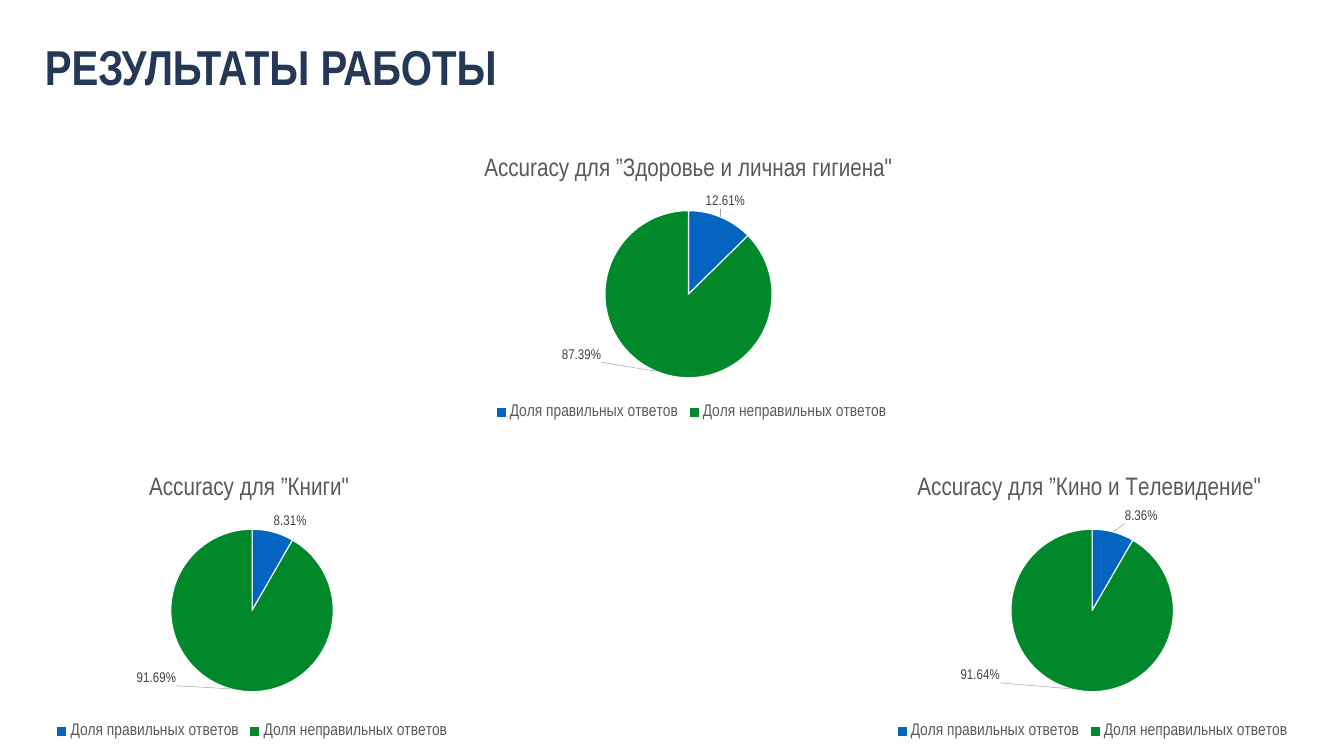
from dataclasses import dataclass

from lxml import etree
from pptx import Presentation
from pptx.chart.data import CategoryChartData
from pptx.dml.color import RGBColor
from pptx.enum.chart import XL_CHART_TYPE, XL_LABEL_POSITION, XL_LEGEND_POSITION
from pptx.enum.text import MSO_ANCHOR, PP_ALIGN
from pptx.oxml import parse_xml
from pptx.oxml.ns import nsdecls, qn
from pptx.util import Pt

PIE = XL_CHART_TYPE.PIE
OUTSIDE_END = XL_LABEL_POSITION.OUTSIDE_END
LEGEND_BOTTOM = XL_LEGEND_POSITION.BOTTOM
TOP = MSO_ANCHOR.TOP
LEFT = PP_ALIGN.LEFT

FONT = "Arial Narrow"
NAVY = RGBColor(0x25, 0x39, 0x57)
GRAY = RGBColor(0x59, 0x59, 0x59)
DARK_GRAY = RGBColor(0x40, 0x40, 0x40)
WHITE = RGBColor(0xFF, 0xFF, 0xFF)
BLUE = RGBColor(0x03, 0x65, 0xC0)
GREEN = RGBColor(0x00, 0x88, 0x2B)

ANSWER_SHARES = ("Доля правильных ответов", "Доля неправильных ответов")
SLICE_COLORS = (BLUE, GREEN)
CHART_HEIGHT = 402.5
LOWER_TOP = 658.8
LOWER_WIDTH = 773.3


@dataclass(frozen=True)
class AccuracyPie:
    topic: str
    correct: float
    left: float
    top: float
    width: float
    plot: tuple[float, float, float, float]
    label_shifts: tuple[tuple[float, float], tuple[float, float]]


UPPER_PLOT = (0.34, 0.24, 0.31, 0.6)
LOWER_PLOT = (0.35, 0.24, 0.3, 0.58)
PIES = (
    AccuracyPie("Здоровье и личная гигиена", 0.1261, 602.6, 203, 769.7,
                UPPER_PLOT, ((-0.03, -0.02), (-0.1, -0.09))),
    AccuracyPie("Книги", 0.0831, -26.6, LOWER_TOP, LOWER_WIDTH,
                LOWER_PLOT, ((0, 0), (-0.1, -0.07))),
    AccuracyPie("Кино и Телевидение", 0.0836, 1173.6, LOWER_TOP, LOWER_WIDTH,
                LOWER_PLOT, ((0.02, -0.02), (-0.13, -0.08))),
)


def style_font(font, size: float, color: RGBColor, bold: bool = False) -> None:
    font.name = FONT
    font.size = Pt(size)
    font.bold = bold
    font.color.rgb = color


def manual_layout(**values):
    """Build a c:layout element from child names and their values."""
    layout = parse_xml(f"<c:layout {nsdecls('c')}><c:manualLayout/></c:layout>")
    for name, value in values.items():
        etree.SubElement(layout[0], qn(f"c:{name}")).set("val", str(value))
    return layout


def place_plot(chart, plot: tuple[float, float, float, float]) -> None:
    plot_area = chart._chartSpace.chart.plotArea
    for old_layout in plot_area.findall(qn("c:layout")):
        plot_area.remove(old_layout)
    x, y, w, h = plot
    plot_area.insert(0, manual_layout(layoutTarget="inner", xMode="edge",
                                      yMode="edge", x=x, y=y, w=w, h=h))


def style_slices(series, label_shifts) -> None:
    labels = series.data_labels
    labels.show_value = True
    labels.number_format = "0.00%"
    labels.number_format_is_linked = False
    style_font(labels.font, 20, DARK_GRAY)
    labels._element.append(parse_xml(
        f"<c:leaderLines {nsdecls('c', 'a')}><c:spPr><a:ln w='9525'><a:solidFill>"
        "<a:srgbClr val='A6A6A6'/></a:solidFill></a:ln></c:spPr></c:leaderLines>"))

    for index, (color, (x, y)) in enumerate(zip(SLICE_COLORS, label_shifts)):
        point = series.points[index]
        point.format.fill.solid()
        point.format.fill.fore_color.rgb = color
        point.format.line.color.rgb = WHITE
        point.format.line.width = Pt(1.5)
        label = point.data_label
        style_font(label.font, 20, DARK_GRAY)
        label.position = OUTSIDE_END
        if x or y:
            label_xml = labels._element.findall(qn("c:dLbl"))[index]
            label_xml.insert(1, manual_layout(x=x, y=y))


def add_pie(slide, pie: AccuracyPie) -> None:
    heading = f'Accuracy для ”{pie.topic}" '
    data = CategoryChartData(number_format="0.00%")
    data.categories = ANSWER_SHARES
    data.add_series(heading, (pie.correct, round(1 - pie.correct, 4)))
    chart = slide.shapes.add_chart(PIE, Pt(pie.left), Pt(pie.top), Pt(pie.width),
                                   Pt(CHART_HEIGHT), data).chart
    style_font(chart.font, 10, DARK_GRAY)

    chart.has_title = True
    chart.chart_title.include_in_layout = False
    title = chart.chart_title.text_frame
    title.text = heading
    style_font(title.paragraphs[0].font, 36, GRAY)

    chart.has_legend = True
    chart.legend.position = LEGEND_BOTTOM
    chart.legend.include_in_layout = False
    style_font(chart.legend.font, 24, GRAY)

    chart.plots[0].vary_by_categories = True
    place_plot(chart, pie.plot)
    style_slices(chart.plots[0].series[0], pie.label_shifts)


def add_title(slide, text: str) -> None:
    title = slide.shapes.title
    title.left, title.top = Pt(58.3), Pt(46.8)
    title.width, title.height = Pt(1693.4), Pt(182.2)
    frame = title.text_frame
    frame.text = text
    frame.vertical_anchor = TOP
    frame.margin_left = frame.margin_right = Pt(5.8)
    frame.margin_top = frame.margin_bottom = Pt(5.8)
    paragraph = frame.paragraphs[0]
    paragraph.alignment = LEFT
    style_font(paragraph.font, 70, NAVY, bold=True)


def main() -> None:
    presentation = Presentation()
    presentation.slide_width, presentation.slide_height = Pt(1920), Pt(1080)
    slide = presentation.slides.add_slide(presentation.slide_layouts[5])
    add_title(slide, "РЕЗУЛЬТАТЫ РАБОТЫ")
    for pie in PIES:
        add_pie(slide, pie)
    presentation.save("out.pptx")


if __name__ == "__main__":
    main()
